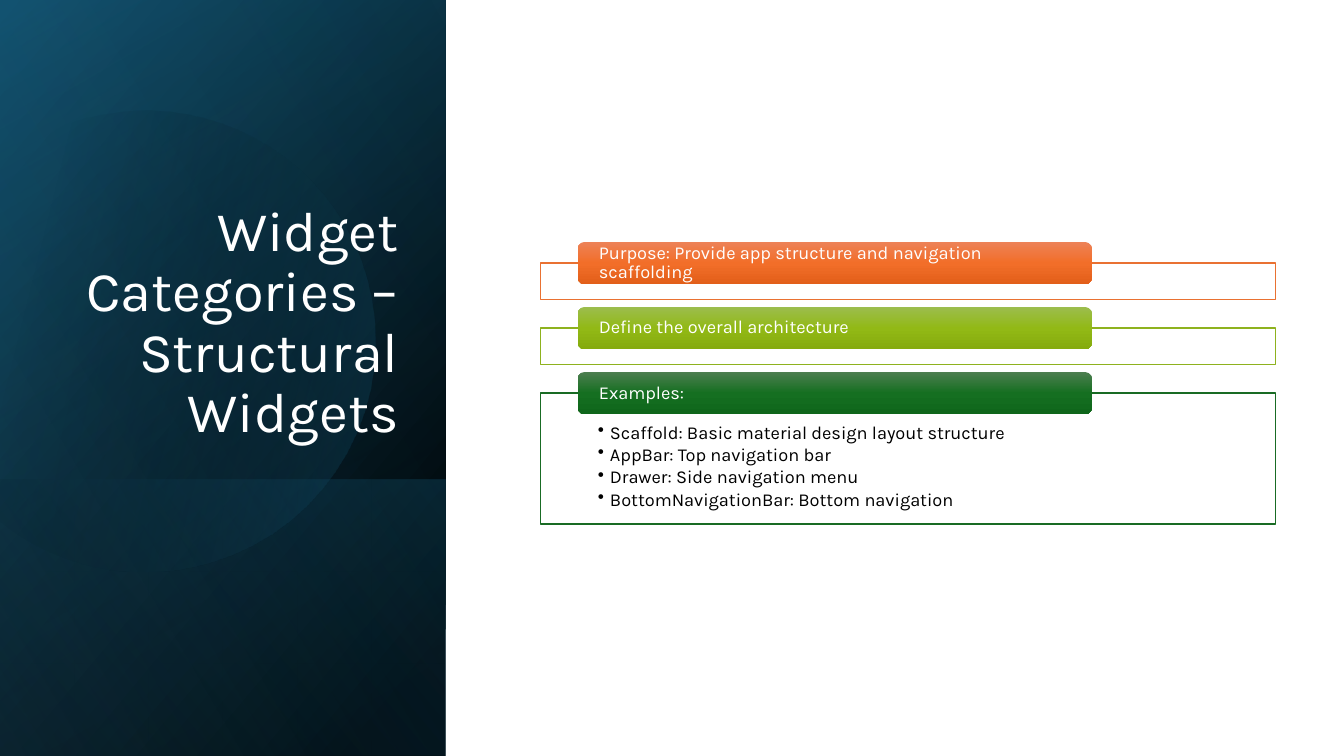
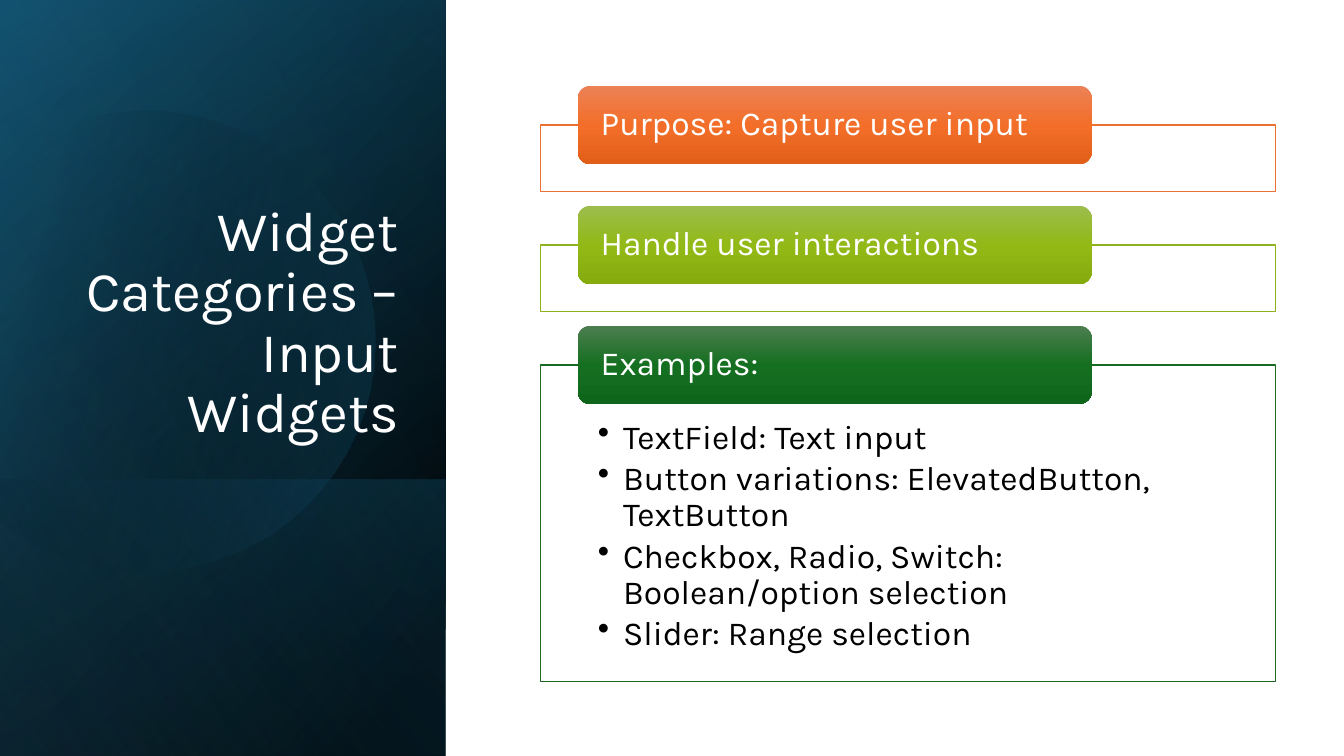
import math
from pptx import Presentation
from pptx.dml.color import RGBColor
from pptx.enum import shapes, text
from pptx.oxml import parse_xml
from pptx.oxml.ns import nsdecls, qn
from pptx.util import Inches, Pt

WHITE = RGBColor(255, 255, 255)
BLACK = RGBColor(0, 0, 0)
NAVY = RGBColor(0x10, 0x48, 0x62)
TEAL = RGBColor(0x15, 0x60, 0x82)
SKY = RGBColor(0x46, 0xB1, 0xE1)
FONT = "Karla"

# Frame line, then the three tab gradient colours, per row
THEMES = [
    [RGBColor.from_string(c) for c in row.split()] for row in (
        "E97132 ED8257 F26E29 E25F1A",
        "8EB21E 9CBD4E 92B916 85AB0D",
        "196B24 4D7E50 156F21 0F661B")]

# Turned panels of the side band: box, gradient stops (%, colour, alpha %), angle
BAND = (-1.54, 1.54, 7.5, 4.42)
PANELS = [
    (BAND, [(8, BLACK, 100), (100, NAVY, 100)], 50),
    (BAND, [(0, BLACK, 0), (99, TEAL, 46)], 30),
    ((0.84, 3.92, 2.74, 4.42), [(2, TEAL, 29), (100, BLACK, 30)], 130),
]
GLOW = (BAND, [(0, BLACK, 0), (99, SKY, 11)], 120)

# Disc outline: start, then curves (two controls and an end) or line ends
START = (1.49, 1.1)
DISC = [
    [(2.46, 1.12), (3.35, 1.77), (3.63, 2.75)],
    [(3.98, 3.97), (3.28, 5.23), (2.07, 5.58)],
    [(1.31, 5.8), (0.53, 5.61), (-0.03, 5.14)],
    [(-0.15, 5.03)], [(-0.15, 1.75)], [(0, 1.61)],
    [(0.23, 1.42), (0.5, 1.28), (0.8, 1.19)],
    [(1.03, 1.13), (1.26, 1.1), START],
]
MID, TURN = (1.58, 3.34), 343.9
DISC_STOPS = [(29, BLACK, 0), (100, TEAL, 43)]

SLIDES = [
    dict(title="Widget Categories – Structural Widgets",
         tabs=["Purpose: Provide app structure and navigation scaffolding",
               "Define the overall architecture", "Examples:"],
         items=["Scaffold: Basic material design layout structure",
                "AppBar: Top navigation bar",
                "Drawer: Side navigation menu",
                "BottomNavigationBar: Bottom navigation"],
         size=13, top=2.4, pitch=0.645, tab=0.42, low=0.36, high=1.3,
         inset=(0.57, 0.3, 0.57, 0.1), hang=0.12),
    dict(title="Widget Categories – Input Widgets",
         tabs=["Purpose: Capture user input",
               "Handle user interactions", "Examples:"],
         items=["TextField: Text input",
                "Button variations: ElevatedButton, TextButton",
                "Checkbox, Radio, Switch: Boolean/option selection",
                "Slider: Range selection"],
         size=24, top=0.85, pitch=1.19, tab=0.78, low=0.66, high=3.14,
         inset=(0.57, 0.55, 0.57, 0.19), hang=0.25),
]


def shade(shape, stops, angle):
    """Give a shape a linear gradient and no line."""
    marks = "".join(
        f'<a:gs pos="{pos * 1000}"><a:srgbClr val="{color}">'
        f'<a:alpha val="{alpha * 1000}"/></a:srgbClr></a:gs>'
        for pos, color, alpha in stops)
    grad = parse_xml(
        f'<a:gradFill {nsdecls("a")} rotWithShape="1"><a:gsLst>{marks}</a:gsLst>'
        f'<a:lin ang="{angle * 60000}" scaled="0"/></a:gradFill>')
    shape.fill.solid()
    props = shape.element.spPr
    props.replace(props.find(qn("a:solidFill")), grad)
    shape.line.fill.background()
    shape.shadow.inherit = False


def block(slide, box, kind=shapes.MSO_SHAPE.RECTANGLE):
    return slide.shapes.add_shape(kind, *map(Inches, box))


def write(shape, lines, size, color, align=text.PP_ALIGN.LEFT,
          anchor=text.MSO_ANCHOR.MIDDLE, inset=(0.1, 0.05, 0.1, 0.05), hang=0):
    """Set lines of text; a hanging indent makes them bullets."""
    frame = shape.text_frame
    frame.word_wrap = True
    frame.vertical_anchor = anchor
    (frame.margin_left, frame.margin_top,
     frame.margin_right, frame.margin_bottom) = map(Inches, inset)
    for i, line in enumerate(lines):
        para = frame.paragraphs[0] if i == 0 else frame.add_paragraph()
        para.alignment = align
        para.line_spacing = 0.9
        if hang:
            para.space_after = Pt(round(size * 0.15, 1))
            props = para._p.get_or_add_pPr()
            props.set("marL", str(Inches(hang)))
            props.set("indent", str(-Inches(hang)))
            props.append(parse_xml(f'<a:buChar {nsdecls("a")} char="•"/>'))
        run = para.add_run()
        run.text = line
        run.font.name = FONT
        run.font.size = Pt(size)
        run.font.color.rgb = color


def panel(slide, box, stops, angle):
    shape = block(slide, box)
    shape.rotation = 90
    shape.element.spPr.find(qn("a:xfrm")).set("flipH", "1")
    shade(shape, stops, angle)


def trace(steps=16):
    """Sample the disc outline, turned back so the shape can be rotated."""
    points, last = [START], START
    for seg in DISC:
        if len(seg) == 1:
            points += seg
        else:
            for t in (n / steps for n in range(1, steps + 1)):
                parts = ((1 - t) ** 3, 3 * t * (1 - t) ** 2,
                         3 * t * t * (1 - t), t ** 3)
                points.append(tuple(
                    sum(w * p[k] for w, p in zip(parts, [last] + seg))
                    for k in (0, 1)))
        last = seg[-1]
    cos, sin = math.cos(math.radians(-TURN)), math.sin(math.radians(-TURN))
    moved = [(x - MID[0], y - MID[1]) for x, y in points]
    return [(Inches(MID[0] + x * cos - y * sin),
             Inches(MID[1] + x * sin + y * cos)) for x, y in moved]


def side(slide, title):
    """Draw the dark side band and its title."""
    for item in PANELS:
        panel(slide, *item)
    points = trace()
    pen = slide.shapes.build_freeform(*points[0])
    pen.add_line_segments(points[1:], close=True)
    disc = pen.convert_to_shape()
    disc.rotation = TURN
    shade(disc, DISC_STOPS, 30)
    panel(slide, *GLOW)
    box = slide.shapes.add_textbox(*map(Inches, (0.64, 1.84, 3.41, 2.62)))
    write(box, [title], 40, WHITE, align=text.PP_ALIGN.RIGHT,
          anchor=text.MSO_ANCHOR.BOTTOM)


def rows(slide, data):
    """Draw the framed rows; the last frame holds the bullets."""
    for i, (label, theme) in enumerate(zip(data["tabs"], THEMES)):
        top = data["top"] + i * data["pitch"]
        final = i == len(THEMES) - 1
        frame = block(slide, (5.36, top + data["tab"] / 2, 7.29,
                              data["high" if final else "low"]))
        frame.shadow.inherit = False
        frame.fill.solid()
        frame.fill.fore_color.rgb = WHITE
        frame.line.color.rgb = theme[0]
        frame.line.width = Pt(1)
        if final:
            write(frame, data["items"], data["size"], BLACK,
                  anchor=text.MSO_ANCHOR.TOP, inset=data["inset"],
                  hang=data["hang"])
        tab = block(slide, (5.73, top, 5.1, data["tab"]),
                    shapes.MSO_SHAPE.ROUNDED_RECTANGLE)
        shade(tab, [(n * 50, c, 100) for n, c in enumerate(theme[1:])], 90)
        write(tab, [label], data["size"], WHITE, inset=(0.19, 0, 0.19, 0))


def main():
    deck = Presentation()
    deck.slide_width, deck.slide_height = Inches(13.33), Inches(7.5)
    for data in SLIDES:
        slide = deck.slides.add_slide(deck.slide_layouts[6])
        side(slide, data["title"])
        rows(slide, data)
    deck.save("out.pptx")


if __name__ == "__main__":
    main()
